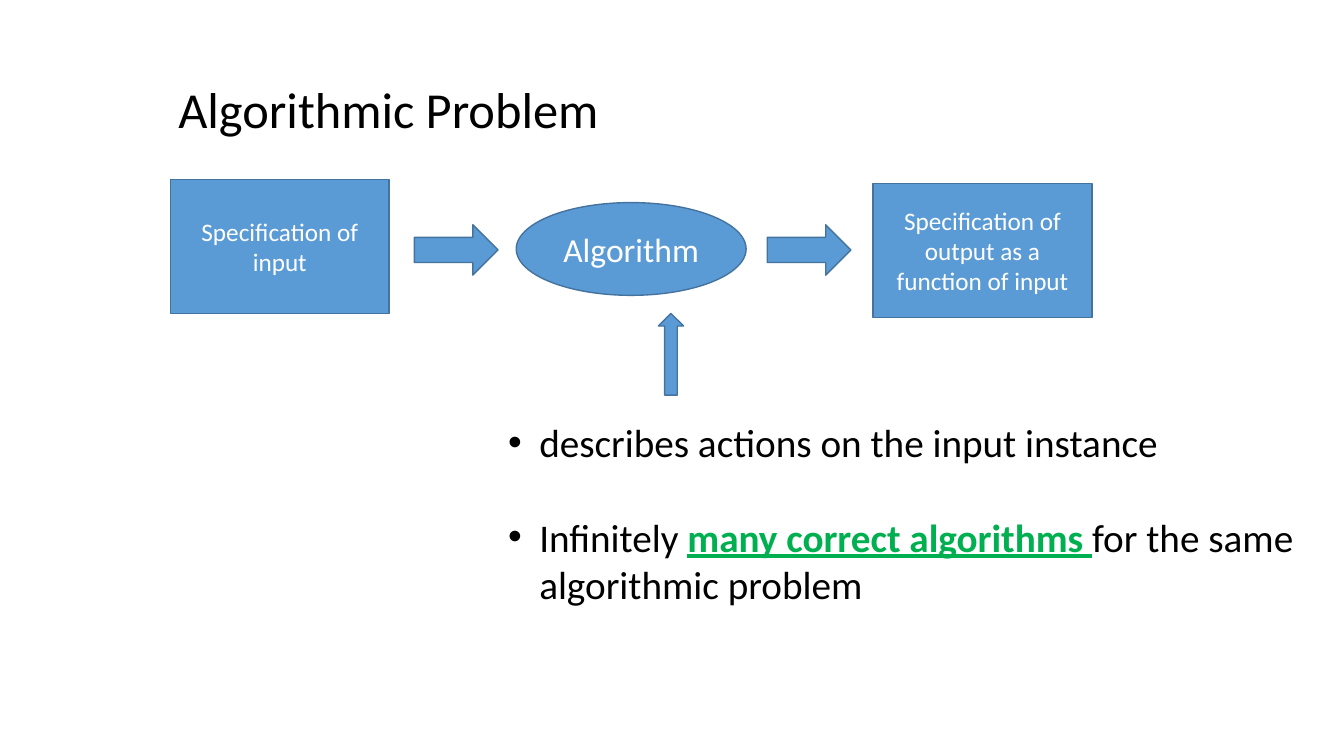
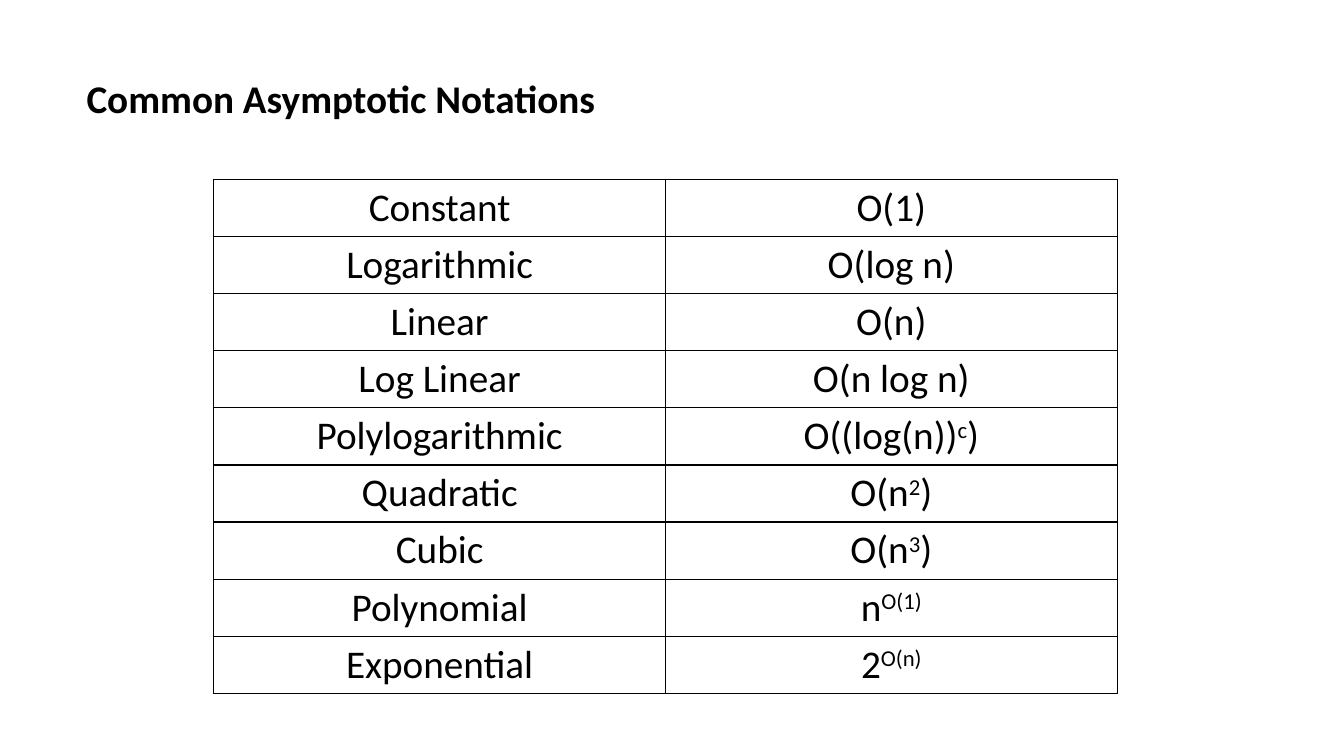
from lxml import etree
from pptx import Presentation
from pptx.dml.color import RGBColor
from pptx.enum.shapes import MSO_SHAPE
from pptx.enum.text import MSO_ANCHOR, PP_ALIGN
from pptx.oxml.ns import qn
from pptx.util import Pt

PX = 9144  # EMU per px, 100 px to the inch
SLIDE_SIZE = (1333, 750)
FONT = "Calibri"
COLORS = {
    "text": "000000",
    "fill": "5B9BD5",
    "outline": "43739E",
    "shape_text": "FFFFFF",
    "emphasis": "00B050",
}
RECTANGLE = MSO_SHAPE.RECTANGLE
ELLIPSE = MSO_SHAPE.OVAL
RIGHT_ARROW = MSO_SHAPE.RIGHT_ARROW
UP_ARROW = MSO_SHAPE.UP_ARROW
CENTER = PP_ALIGN.CENTER
MIDDLE = MSO_ANCHOR.MIDDLE

BULLET_INDENT = 31
BULLETS = [
    [("describes actions on the input instance", False)],
    [
        ("Infinitely ", False),
        ("many correct algorithms ", True),
        ("for the same algorithmic problem", False),
    ],
]

# Every second part of a notation is superscript
NOTATIONS = [
    ("Constant", ["Ο(1)"]),
    ("Logarithmic", ["Ο(log n)"]),
    ("Linear", ["Ο(n)"]),
    ("Log Linear", ["Ο(n log n)"]),
    ("Polylogarithmic", ["O((log(n))", "c", ")"]),
    ("Quadratic", ["Ο(n", "2", ")"]),
    ("Cubic", ["Ο(n", "3", ")"]),
    ("Polynomial", ["n", "Ο(1)"]),
    ("Exponential", ["2", "Ο(n)"]),
]


def color(name):
    return RGBColor.from_string(COLORS[name])


def emu(*lengths):
    return [length * PX for length in lengths]


def style(paragraph, size, color_name="text", bold=False):
    font = paragraph.font
    font.name = FONT
    font.size = Pt(size)
    font.bold = bold
    font.color.rgb = color(color_name)


def add_text_box(slide, box, wrap=True):
    frame = slide.shapes.add_textbox(*emu(*box)).text_frame
    frame.word_wrap = wrap
    return frame


def add_title(slide, box, text, size, bold=False, line_spacing=1.0, wrap=True):
    paragraph = add_text_box(slide, box, wrap).paragraphs[0]
    paragraph.text = text
    paragraph.line_spacing = line_spacing
    style(paragraph, size, bold=bold)


def add_flow_shape(slide, kind, box, text="", size=18):
    shape = slide.shapes.add_shape(kind, *emu(*box))
    shape.shadow.inherit = False
    shape.fill.solid()
    shape.fill.fore_color.rgb = color("fill")
    shape.line.color.rgb = color("outline")
    shape.line.width = Pt(1)
    if text:
        shape.text_frame.word_wrap = True
        shape.text_frame.vertical_anchor = MIDDLE
        paragraph = shape.text_frame.paragraphs[0]
        paragraph.text = text
        paragraph.alignment = CENTER
        paragraph.space_before = Pt(size * 0.2)
        style(paragraph, size, "shape_text")


def set_bullet(paragraph):
    properties = paragraph._p.get_or_add_pPr()
    properties.set("marL", str(BULLET_INDENT * PX))
    properties.set("indent", str(-BULLET_INDENT * PX))
    etree.SubElement(properties, qn("a:buFont"), typeface="Arial")
    etree.SubElement(properties, qn("a:buChar"), char="•")


def add_bullets(slide, box, items, size, gap):
    frame = add_text_box(slide, box)
    for index, parts in enumerate(items):
        paragraph = frame.add_paragraph() if index else frame.paragraphs[0]
        set_bullet(paragraph)
        style(paragraph, size)
        if index:
            paragraph.space_before = Pt(gap)
        for text, emphasized in parts:
            run = paragraph.add_run()
            run.text = text
            if emphasized:
                run.font.bold = True
                run.font.underline = True
                run.font.color.rgb = color("emphasis")


def set_borders(cell):
    properties = cell._tc.get_or_add_tcPr()
    for side in ("lnL", "lnR", "lnT", "lnB"):
        line = etree.SubElement(properties, qn(f"a:{side}"), w=str(Pt(1)))
        fill = etree.SubElement(line, qn("a:solidFill"))
        etree.SubElement(fill, qn("a:srgbClr"), val=COLORS["text"])


def fill_cell(cell, parts, size):
    set_borders(cell)
    cell.fill.background()
    cell.vertical_anchor = MIDDLE
    cell.margin_top = cell.margin_bottom = 4 * PX
    paragraph = cell.text_frame.paragraphs[0]
    paragraph.alignment = CENTER
    style(paragraph, size)
    for index, text in enumerate(parts):
        run = paragraph.add_run()
        run.text = text
        if index % 2:
            run._r.get_or_add_rPr().set("baseline", "30000")


def add_notation_table(slide, box, rows, size):
    table = slide.shapes.add_table(len(rows), 2, *emu(*box)).table
    table.first_row = False
    table.horz_banding = False
    for row, (name, notation) in enumerate(rows):
        fill_cell(table.cell(row, 0), [name], size)
        fill_cell(table.cell(row, 1), notation, size)


def build_problem_slide(slide):
    add_title(slide, (167, 79, 900, 79), "Algorithmic Problem", 36, line_spacing=0.9)
    # Input, algorithm and output
    add_flow_shape(slide, RECTANGLE, (169, 178, 217, 133), "Specification of input")
    add_flow_shape(slide, ELLIPSE, (512, 201, 228, 92), "Algorithm", 24)
    add_flow_shape(slide, RECTANGLE, (866, 182, 217, 133),
                   "Specification of output as a function of input")
    # Arrows of the flow
    for left in (411, 761):
        add_flow_shape(slide, RIGHT_ARROW, (left, 223, 83, 50))
    add_flow_shape(slide, UP_ARROW, (653, 311, 25, 81))
    # Remarks on the algorithm
    add_bullets(slide, (494, 410, 809, 246), BULLETS, size=28, gap=34)


def build_notation_slide(slide):
    add_title(slide, (76, 69, 531, 57), "Common Asymptotic Notations", 28,
              bold=True, wrap=False)
    add_notation_table(slide, (212, 178, 896, 510), NOTATIONS, size=28)


def main():
    presentation = Presentation()
    presentation.slide_width, presentation.slide_height = emu(*SLIDE_SIZE)
    blank = presentation.slide_layouts[6]
    for build in (build_problem_slide, build_notation_slide):
        build(presentation.slides.add_slide(blank))
    presentation.save("out.pptx")


if __name__ == "__main__":
    main()
